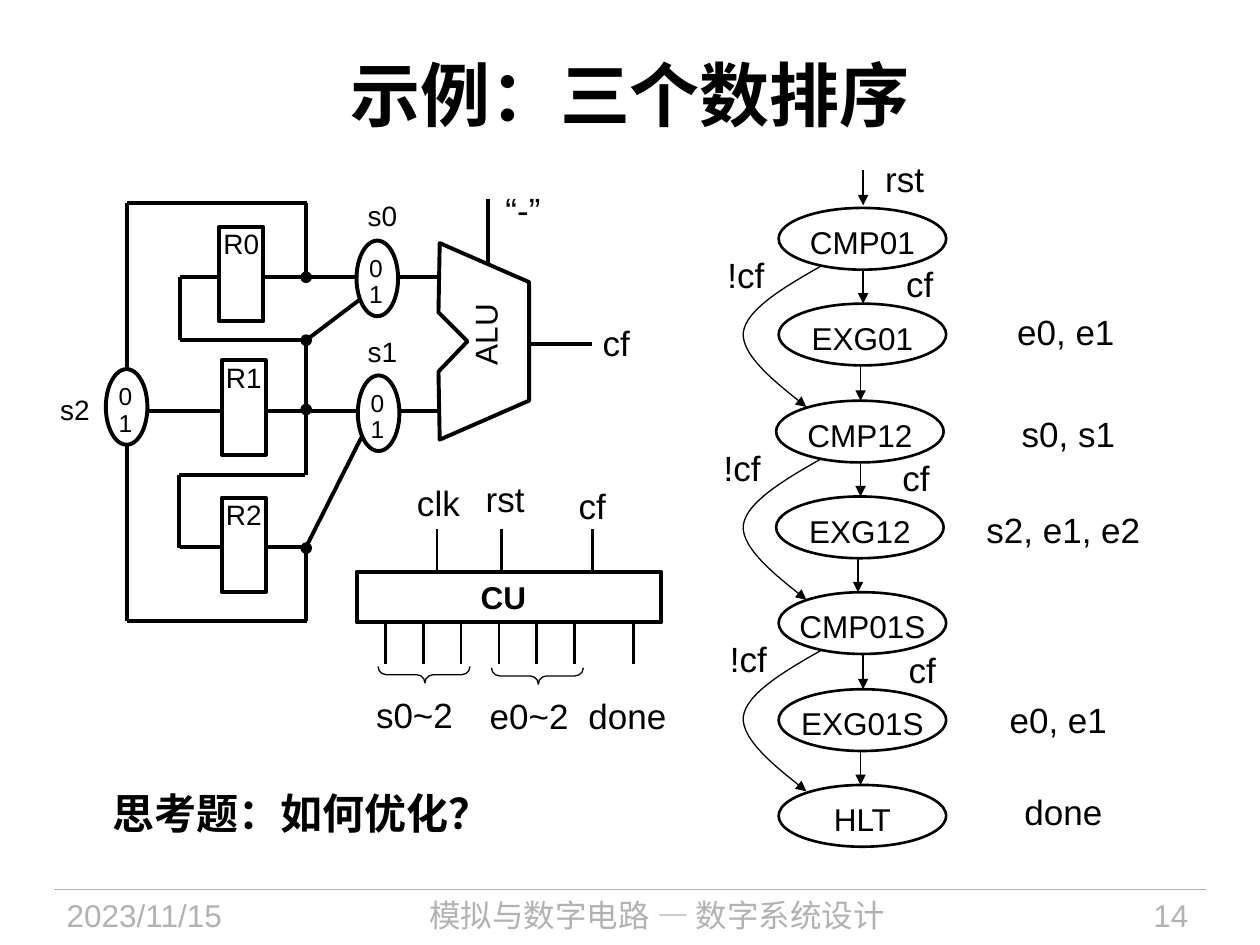
"""Build the three-number sorting slide: datapath, control unit and state diagram."""
from lxml.etree import SubElement
from pptx import Presentation
from pptx.dml.color import RGBColor
from pptx.enum.shapes import MSO_CONNECTOR as LINK, MSO_SHAPE as SHAPE
from pptx.enum.text import MSO_ANCHOR as ANCHOR, PP_ALIGN as ALIGN
from pptx.oxml.ns import qn
from pptx.util import Pt

PX = 9144
THEME = {
    "ink": RGBColor(0, 0, 0), "paper": RGBColor(255, 255, 255), "muted": RGBColor(0xB2, 0xB2, 0xB2),
    "latin": "Arial", "serif": "Times New Roman", "cjk": "Noto Sans CJK SC",
    "title": 40, "question": 24, "label": 20, "body": 18, "part": 16, "digit": 14,
    "wire": 2.25, "pin": 1.5, "hair": 0.75,
}


def outline(shape, weight, fill=None, head=None, tail=None, colour="ink"):
    shape.line.color.rgb = THEME[colour]
    shape.line.width = Pt(THEME[weight])
    properties = shape.element.spPr
    for tag, kind in (("a:headEnd", head), ("a:tailEnd", tail)):
        if kind:
            SubElement(properties.find(qn("a:ln")), qn(tag), type=kind)
    if hasattr(shape, "fill"):
        shape.shadow.inherit = False
        if fill:
            shape.fill.solid()
            shape.fill.fore_color.rgb = THEME[fill]
        else:
            shape.fill.background()
    else:
        SubElement(properties, qn("a:effectLst"))


def write(shape, text, size, align=ALIGN.CENTER, anchor=ANCHOR.MIDDLE, wrap=False,
          insets=(0, 0, 0, 0), spacing=None, bold=False, font="latin", colour="ink"):
    frame = shape.text_frame
    frame.text = text
    left, top, right, bottom = (inset * PX for inset in insets)
    layout = {"word_wrap": wrap, "vertical_anchor": anchor, "margin_left": left,
              "margin_top": top, "margin_right": right, "margin_bottom": bottom}
    for key, value in layout.items():
        setattr(frame, key, value)
    for paragraph in frame.paragraphs:
        paragraph.alignment = align
        if spacing:
            paragraph.line_spacing = Pt(spacing)
        for run in paragraph.runs:
            for key, value in {"name": THEME[font], "size": Pt(THEME[size]), "bold": bold}.items():
                setattr(run.font, key, value)
            run.font.color.rgb = THEME[colour]
            SubElement(run.font._element, qn("a:ea"), typeface=THEME["cjk"])


deck = Presentation()
deck.slide_width, deck.slide_height = 1000 * PX, 750 * PX
slide = deck.slides.add_slide(deck.slide_layouts[5])
shapes = slide.shapes

title = shapes.title
for side, length in {"left": 50, "top": 31, "width": 900, "height": 86}.items():
    setattr(title, side, length * PX)
write(title, "示例：三个数排序", "title", wrap=True, insets=(10, 5, 10, 5), bold=True, font="serif")

wire, pin = {"weight": "wire"}, {"weight": "pin"}
arrow = {"weight": "hair", "tail": "triangle"}
head_dot, tail_dot = {"weight": "wire", "head": "oval"}, {"weight": "wire", "tail": "oval"}
states = ["CMP01", "EXG01", "CMP12", "EXG12", "CMP01S", "EXG01S", "HLT"]
state_tops = [165 + round(i * 458 / 6) for i in range(len(states))]

links = [
    (43, 706, 957, 706, {"weight": "hair", "colour": "muted"}),
    (210, 220, 243, 220, wire), (143, 220, 173, 220, wire),
    (211, 326, 244, 326, wire), (101, 326, 175, 326, wire),
    (211, 434, 242, 434, wire), (143, 434, 175, 434, wire),
    (242, 436, 298, 325, wire),
    (143, 270, 243, 270, wire), (243, 325, 243, 270, head_dot), (143, 270, 143, 220, wire),
    (243, 220, 243, 161, head_dot), (101, 161, 244, 161, wire), (101, 326, 101, 161, wire),
    (243, 377, 243, 324, wire), (142, 377, 242, 377, wire), (142, 435, 142, 377, wire),
    (243, 493, 243, 435, tail_dot), (101, 493, 244, 493, wire), (101, 493, 101, 325, wire),
    (309, 220, 348, 220, wire), (309, 326, 348, 326, wire),
    (418, 273, 470, 273, wire), (387, 158, 387, 209, wire),
    (243, 270, 309, 220, head_dot), (240, 220, 309, 220, wire), (244, 326, 310, 326, wire),
    (685, 135, 685, 163, arrow),
]
links += [(x, 420, x, 453, pin) for x in (347, 398, 470)]
links += [(x, 494, x, 527, pin) for x in (*range(306, 427, 30), 456, 503)]
links += [(x, top + 49, x, below, arrow) for x, top, below in
          zip((685, 683, 683, 681, 685, 683), state_tops, state_tops[1:])]
for x1, y1, x2, y2, style in links:
    link = shapes.add_connector(LINK.STRAIGHT, x1 * PX, y1 * PX, x2 * PX, y2 * PX)
    outline(link, **style)

for name, left, top in (("R0", 174, 180), ("R1", 176, 286), ("R2", 176, 395)):
    register = shapes.add_shape(SHAPE.RECTANGLE, left * PX, top * PX, 35 * PX, 75 * PX)
    outline(register, "wire")
    write(register, name, "part", anchor=ANCHOR.TOP)

alu_corners = [(420, 224), (420, 318), (349, 349), (348, 295), (371, 271), (348, 248)]
alu_builder = shapes.build_freeform(349, 193, scale=PX)
alu_builder.add_line_segments(alu_corners, close=True)
outline(alu_builder.convert_to_shape(), "wire")
alu_name = shapes.add_textbox(360 * PX, 236 * PX, 50 * PX, 59 * PX)
write(alu_name, "ALU", "body")
alu_name.text_frame._txBody.bodyPr.set("vert", "vert270")

for name, left, top, name_left, name_top in (
        ("s1", 284, 298, 287, 261), ("s0", 283, 191, 287, 153), ("s2", 84, 293, 43, 307)):
    selector = shapes.add_shape(SHAPE.OVAL, left * PX, top * PX, 33 * PX, 60 * PX)
    outline(selector, "wire", fill="paper")
    write(selector, "0\n1", "digit", insets=(0, 6, 2, 0), spacing=15)
    selector_name = shapes.add_textbox(name_left * PX, name_top * PX, 33 * PX, 42 * PX)
    write(selector_name, name, "part", spacing=15)

control_unit = shapes.add_shape(SHAPE.RECTANGLE, 283 * PX, 454 * PX, 242 * PX, 40 * PX)
outline(control_unit, "wire")
write(control_unit, "CU", "body", insets=(0, 0, 9, 0), bold=True)
for left, top in ((330, 499), (420, 500)):
    brace = shapes.add_shape(SHAPE.RIGHT_BRACE, left * PX, top * PX, 13 * PX, 73 * PX)
    brace.rotation = 90
    brace.adjustments[0], brace.adjustments[1] = 0.51, 0.49
    outline(brace, "hair")

for i, (name, top) in enumerate(zip(states, state_tops)):
    left = 616 if i in (2, 3) else 618
    state = shapes.add_shape(SHAPE.OVAL, left * PX, top * PX, 133 * PX, 49 * PX)
    outline(state, "pin")
    write(state, name, "body", insets=(0, 5, 0, 0))

skip_curve = [(622, 63), (592, 81), (590, 99), (588, 118), (640, 158), (640, 158)]
for top in state_tops[:5:2]:
    skip_builder = shapes.build_freeform(652, top + 46, scale=PX)
    skip_builder.add_line_segments([(x, top + y) for x, y in skip_curve], close=False)
    skip = skip_builder.convert_to_shape()
    segments = list(skip.element.iter(qn("a:lnTo")))
    for start in range(0, len(segments), 3):
        bend = SubElement(segments[start].getparent(), qn("a:cubicBezTo"))
        for segment in segments[start:start + 3]:
            bend.append(segment[0])
            segment.getparent().remove(segment)
    outline(skip, "hair", tail="triangle")

labels = [
    ("cf", 468, 255, 42, 34), ("“-”", 379, 150, 72, 33),
    ("clk", 318, 382, 60, 34), ("rst", 371, 379, 60, 34), ("cf", 440, 384, 60, 34),
    ("s0~2", 284, 550, 90, 34), ("e0~2", 375, 551, 90, 34), ("done", 453, 551, 90, 34),
    ("rst", 688, 125, 60, 34),
    ("cf", 700, 208, 60, 34), ("!cf", 562, 201, 60, 34),
    ("cf", 697, 362, 60, 34), ("!cf", 559, 354, 60, 34),
    ("cf", 702, 514, 60, 34), ("!cf", 564, 506, 60, 34),
    ("e0, e1", 746, 241, 200, 44), ("s0, s1", 748, 322, 200, 44),
    ("s2, e1, e2", 744, 398, 200, 44), ("e0, e1", 740, 549, 200, 44),
    ("done", 744, 622, 200, 44),
]
notes = [(*label, {"size": "label"}) for label in labels]
notes.append(("思考题：如何优化？", 89, 623, 460, 44,
              {"size": "question", "align": ALIGN.LEFT, "wrap": True, "bold": True}))
footer = {"size": "body", "anchor": ANCHOR.TOP, "wrap": True, "insets": (10, 5, 10, 5), "colour": "muted"}
notes += [
    ("2023/11/15", 43, 706, 188, 44, {**footer, "align": ALIGN.LEFT}),
    ("模拟与数字电路 — 数字系统设计", 240, 706, 563, 44, {**footer, "font": "cjk"}),
    ("14", 820, 706, 133, 44, {**footer, "align": ALIGN.RIGHT}),
]
for text, left, top, width, height, style in notes:
    note = shapes.add_textbox(left * PX, top * PX, width * PX, height * PX)
    write(note, text, **style)

deck.save("out.pptx")
